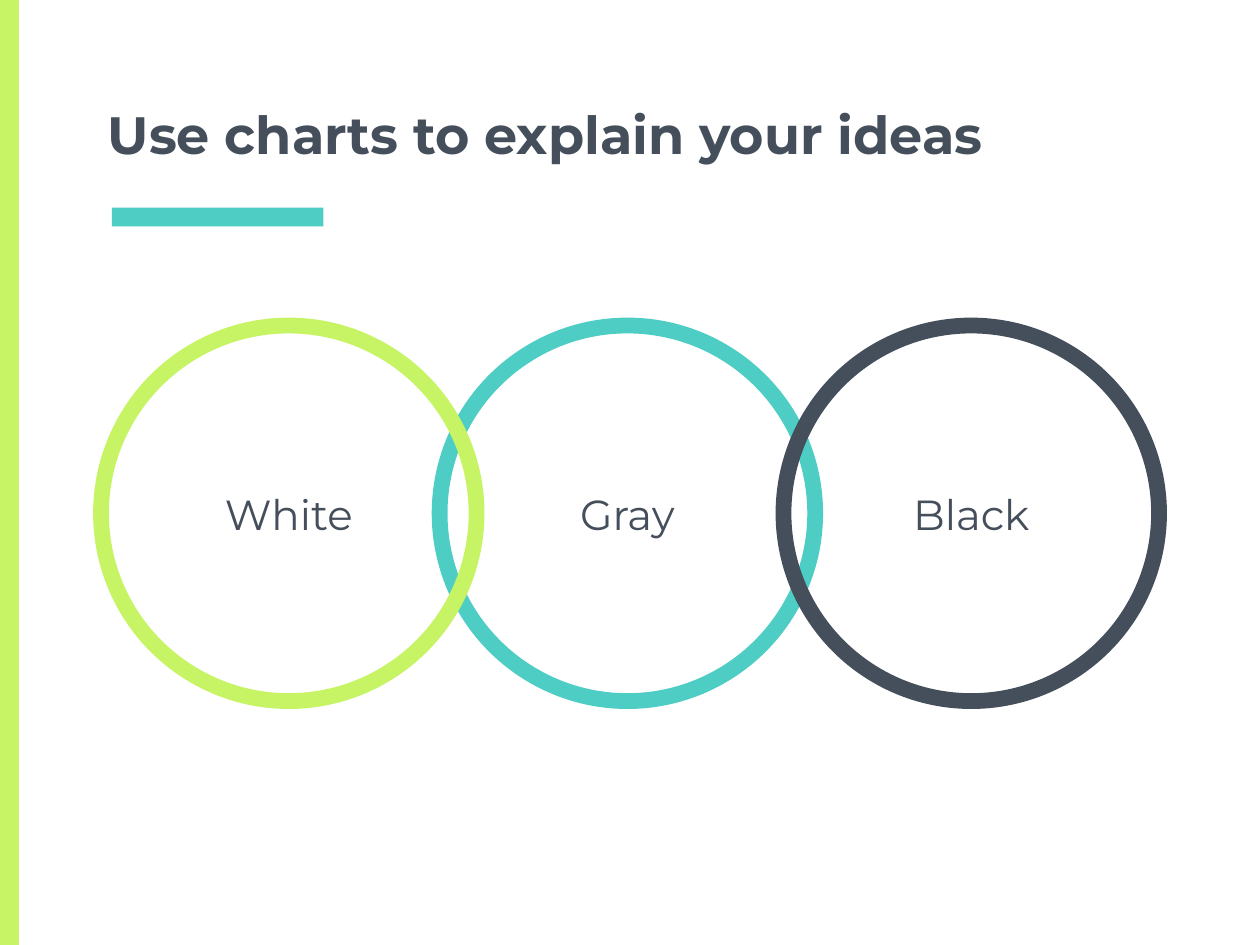
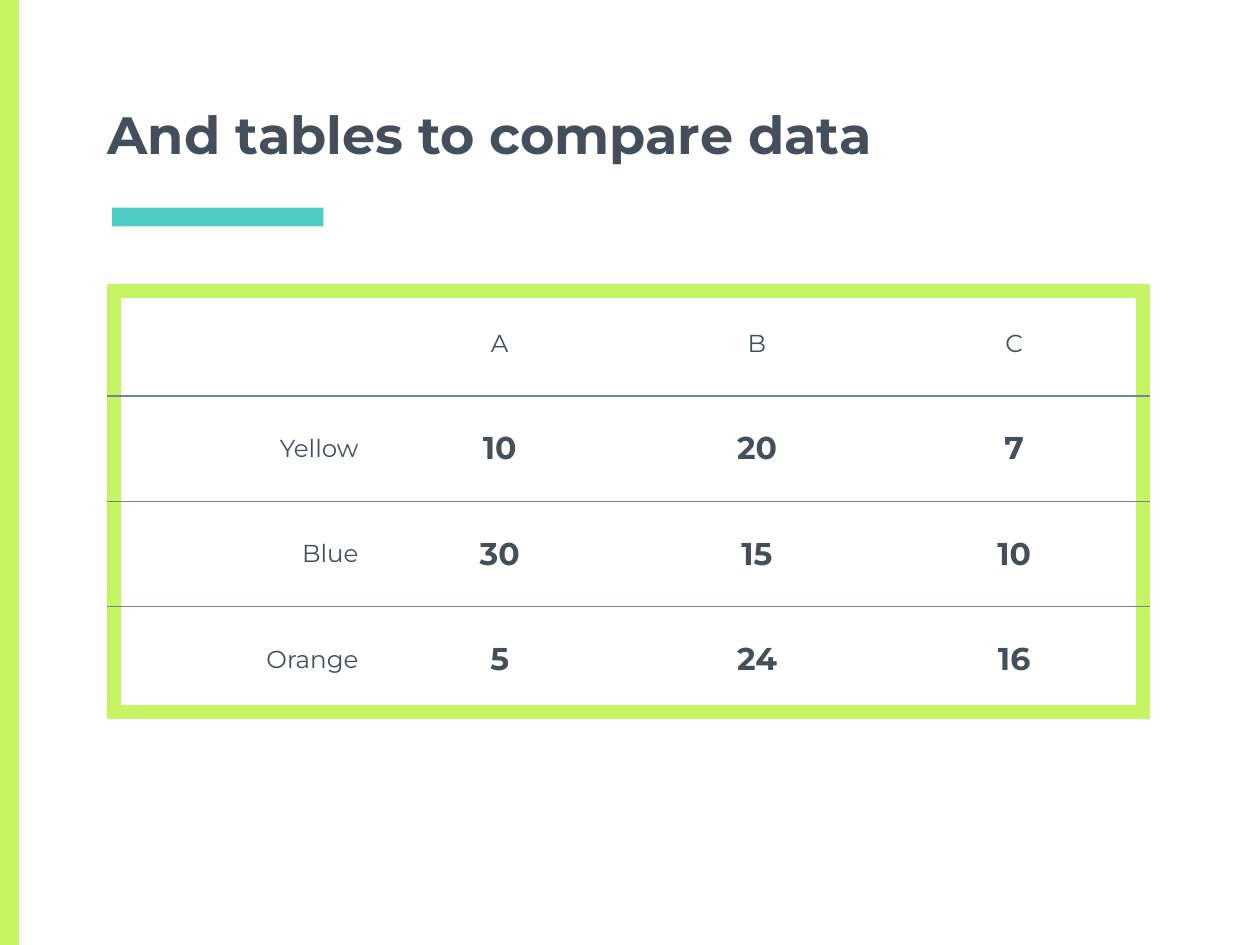
from lxml.etree import SubElement
from pptx import Presentation
from pptx.dml.color import RGBColor
from pptx.enum.shapes import MSO_SHAPE as Shape
from pptx.enum.text import MSO_ANCHOR as Anchor, PP_ALIGN as Align
from pptx.oxml import parse_xml
from pptx.oxml.ns import nsdecls, qn
from pptx.util import Pt

COLORS = {"lime": "C7F464", "teal": "4ECDC4", "slate": "454F5B", "rule": "738498"}
FONT = "Montserrat"
INSET = 7.2
TITLES = ["Use charts to explain your ideas", "And tables to compare data"]


def write(frame, text, size, bold=False, align=Align.LEFT):
    """Put one styled run in the first paragraph of a text frame."""
    para = frame.paragraphs[0]
    para.alignment = align
    span = para.add_run()
    span.text = text
    span.font.name = FONT
    span.font.size = Pt(size)
    span.font.bold = bold
    span.font.color.rgb = RGBColor.from_string(COLORS["slate"])


def set_border(cell, position, side, color=None, width=0):
    """Insert one border line ahead of the cell fill; no color means no line."""
    line = parse_xml(f'<a:{side} {nsdecls("a")} w="{int(Pt(width))}"/>')
    if color:
        fill = SubElement(line, qn("a:solidFill"))
        SubElement(fill, qn("a:srgbClr"), val=COLORS[color])
    else:
        SubElement(line, qn("a:noFill"))
    cell._tc.get_or_add_tcPr().insert(position, line)


deck = Presentation()
deck.slide_width, deck.slide_height = Pt(720), Pt(540)

# Shared side band, accent bar and title
pages = []
for title in TITLES:
    page = deck.slides.add_slide(deck.slide_layouts[6])
    pages.append(page)
    for color, left, top, width, height in [
        ("lime", 0, 0, 10.8, 540),
        ("teal", 64, 118.6, 120.8, 10.8),
    ]:
        bar = page.shapes.add_shape(
            Shape.RECTANGLE, Pt(left), Pt(top), Pt(width), Pt(height))
        bar.shadow.inherit = False
        bar.fill.solid()
        bar.fill.fore_color.rgb = RGBColor.from_string(COLORS[color])
        bar.line.fill.background()

    box = page.shapes.add_textbox(Pt(54.5), Pt(49.5), Pt(611), Pt(52))
    frame = box.text_frame
    frame.word_wrap = True
    frame.vertical_anchor = Anchor.BOTTOM
    frame.margin_left = frame.margin_right = Pt(INSET)
    frame.margin_top = frame.margin_bottom = Pt(INSET)
    write(frame, title, 30, bold=True)

chart_page, table_page = pages

# Overlapping rings, from back to front
DIAMETER = 214.6
for label, color, left in [
    ("Gray", "teal", 251.2),
    ("White", "lime", 57.7),
    ("Black", "slate", 447.7),
]:
    ring = chart_page.shapes.add_shape(
        Shape.OVAL, Pt(left), Pt(186), Pt(DIAMETER), Pt(DIAMETER))
    ring.shadow.inherit = False
    ring.fill.background()
    ring.line.color.rgb = RGBColor.from_string(COLORS[color])
    ring.line.width = Pt(9)
    ring.text_frame.vertical_anchor = Anchor.MIDDLE
    write(ring.text_frame, label, 24, align=Align.CENTER)

# Comparison table
ROWS = [
    ["", "A", "B", "C"],
    ["Yellow", "10", "20", "7"],
    ["Blue", "30", "15", "10"],
    ["Orange", "5", "24", "16"],
]
COLUMN_WIDTH, ROW_HEIGHT = 147, 60.2
LAST = len(ROWS) - 1
table = table_page.shapes.add_table(
    4, 4, Pt(65.1), Pt(166.1), Pt(4 * COLUMN_WIDTH), Pt(4 * ROW_HEIGHT)).table
table.first_row = table.horz_banding = False
for column in table.columns:
    column.width = Pt(COLUMN_WIDTH)

FRAME_LINE, ROW_LINE, NO_LINE = ("lime", 9), ("rule", 0.75), (None, 0)
for r, row in enumerate(ROWS):
    table.rows[r].height = Pt(ROW_HEIGHT)
    for c, text in enumerate(row):
        cell = table.cell(r, c)
        cell.fill.background()
        cell.vertical_anchor = Anchor.MIDDLE
        cell.margin_left = cell.margin_right = Pt(INSET)
        cell.margin_top = cell.margin_bottom = Pt(INSET)
        if text:
            is_value = r > 0 and c > 0
            write(cell.text_frame, text, 18 if is_value else 14, bold=is_value,
                  align=Align.CENTER if c else Align.RIGHT)
        borders = {
            "lnL": FRAME_LINE if c == 0 else NO_LINE,
            "lnR": FRAME_LINE if c == LAST else NO_LINE,
            "lnT": FRAME_LINE if r == 0 else ROW_LINE,
            "lnB": FRAME_LINE if r == LAST else ROW_LINE,
        }
        for position, (side, style) in enumerate(borders.items()):
            set_border(cell, position, side, *style)

deck.save("out.pptx")
